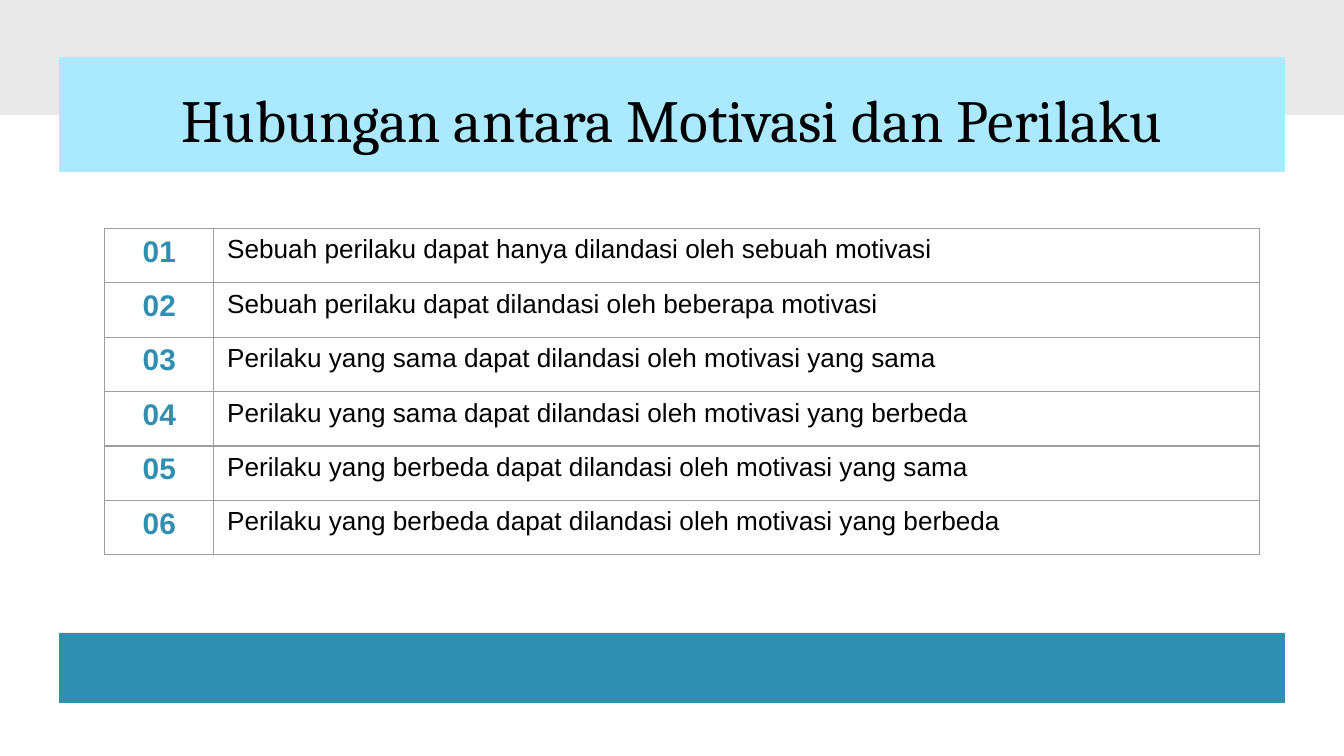
from lxml.etree import SubElement
from pptx import Presentation
from pptx.dml.color import RGBColor
from pptx.enum.shapes import MSO_SHAPE
from pptx.enum.text import MSO_ANCHOR, PP_ALIGN
from pptx.oxml.ns import qn
from pptx.util import Emu, Pt

EMU_PER_PX = 4572
COLORS = {
    "backdrop": "E9E9E9",
    "banner": "AAE9FF",
    "accent": "308FB1",
    "text": "000000",
    "border": "9E9E9E",
}
STATEMENTS = [
    "Sebuah perilaku dapat hanya dilandasi oleh sebuah motivasi",
    "Sebuah perilaku dapat dilandasi oleh beberapa motivasi",
    "Perilaku yang sama dapat dilandasi oleh motivasi yang sama",
    "Perilaku yang sama dapat dilandasi oleh motivasi yang berbeda",
    "Perilaku yang berbeda dapat dilandasi oleh motivasi yang sama",
    "Perilaku yang berbeda dapat dilandasi oleh motivasi yang berbeda",
]


def px(length):
    return Emu(length * EMU_PER_PX)


def add_band(page, box, color):
    band = page.shapes.add_shape(MSO_SHAPE.RECTANGLE, *map(px, box))
    band.shadow.inherit = False
    band.fill.solid()
    band.fill.fore_color.rgb = RGBColor.from_string(COLORS[color])
    band.line.fill.background()


def add_span(para, text, size, color="text", font="Arial", bold=False):
    span = para.add_run()
    span.text = text
    span.font.name = font
    span.font.size = Pt(size)
    span.font.bold = bold
    span.font.color.rgb = RGBColor.from_string(COLORS[color])


def add_title(page, box, text):
    left, top, width, height = box
    add_band(page, box, "banner")
    title = page.shapes.add_textbox(
        px(left + 68), px(top + 40), px(width - 136), px(height - 68)
    )
    frame = title.text_frame
    frame.word_wrap = True
    frame.vertical_anchor = MSO_ANCHOR.MIDDLE
    frame.margin_left = frame.margin_right = px(20)
    frame.margin_top = frame.margin_bottom = px(20)
    para = frame.paragraphs[0]
    para.alignment = PP_ALIGN.CENTER
    add_span(para, text, 32, font="Cambria")


def style_cell(cell):
    properties = cell._tc.get_or_add_tcPr()
    for side in ("lnL", "lnR", "lnT", "lnB"):
        line = SubElement(properties, qn(f"a:{side}"), w=str(Pt(0.75)))
        fill = SubElement(line, qn("a:solidFill"))
        SubElement(fill, qn("a:srgbClr"), val=COLORS["border"])
    cell.fill.background()


def add_statements(page, box, statements):
    left, top, width, height = box
    number_width = 162
    table = page.shapes.add_table(len(statements), 2, *map(px, box)).table
    table.first_row = False
    table.horz_banding = False
    table.columns[0].width = px(number_width)
    table.columns[1].width = px(width - number_width)
    for index, statement in enumerate(statements):
        table.rows[index].height = px(height // len(statements))
        number_cell, text_cell = table.rows[index].cells
        style_cell(number_cell)
        style_cell(text_cell)
        para = number_cell.text_frame.paragraphs[0]
        para.alignment = PP_ALIGN.CENTER
        add_span(para, f"{index + 1:02}", 16, "accent", bold=True)
        add_span(text_cell.text_frame.paragraphs[0], statement, 14)


def main():
    deck = Presentation()
    deck.slide_width, deck.slide_height = px(2000), px(1125)
    page = deck.slides.add_slide(deck.slide_layouts[6])
    add_band(page, (0, 0, 2000, 171), "backdrop")
    add_title(page, (88, 85, 1824, 171), "Hubungan antara Motivasi dan Perilaku")
    add_band(page, (88, 942, 1824, 104), "accent")
    add_statements(page, (156, 340, 1718, 486), STATEMENTS)
    deck.save("out.pptx")


if __name__ == "__main__":
    main()
